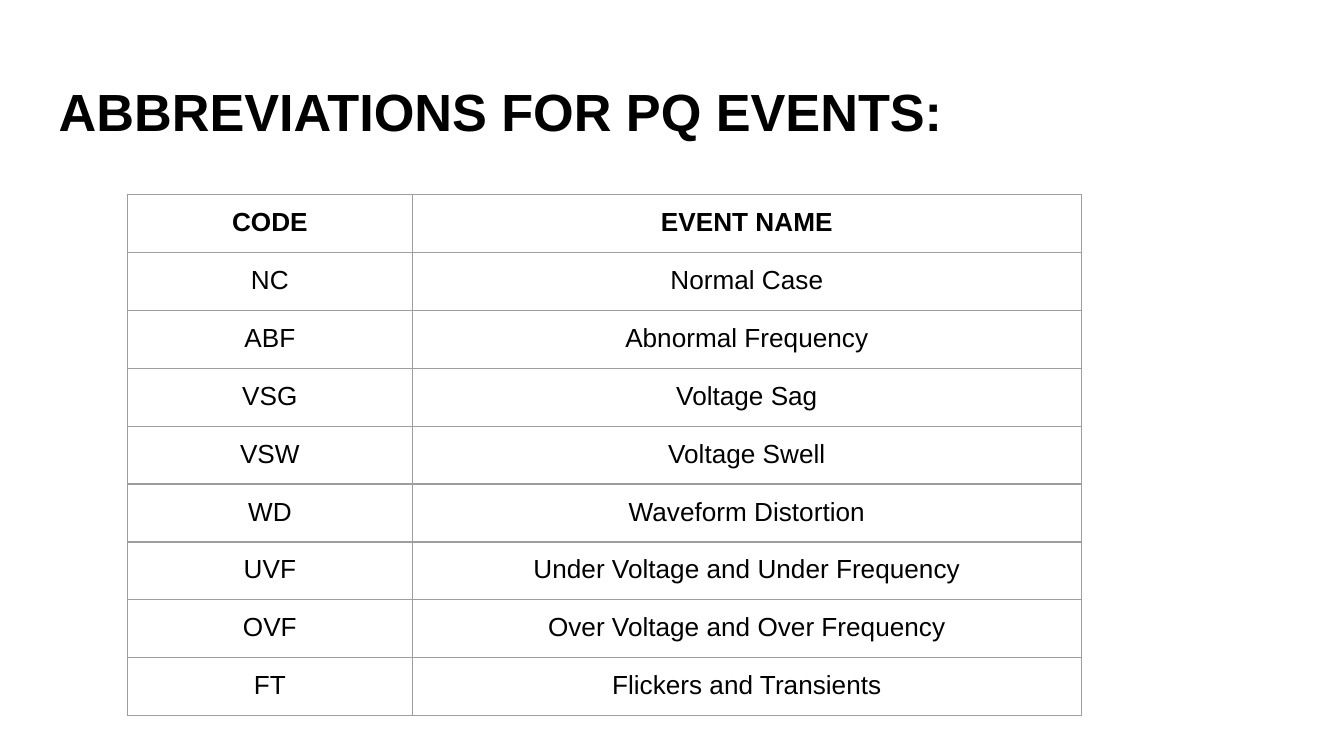
import pptx
import pptx.dml.color
import pptx.enum.text
import pptx.oxml
import pptx.oxml.ns
import pptx.util

Cm = pptx.util.Cm
Pt = pptx.util.Pt
RGBColor = pptx.dml.color.RGBColor

# Content
TITLE = "ABBREVIATIONS FOR PQ EVENTS:"
EVENTS = [
    ("CODE", "EVENT NAME"),
    ("NC", "Normal Case"),
    ("ABF", "Abnormal Frequency"),
    ("VSG", "Voltage Sag"),
    ("VSW", "Voltage Swell"),
    ("WD", "Waveform Distortion"),
    ("UVF", "Under Voltage and Under Frequency"),
    ("OVF", "Over Voltage and Over Frequency"),
    ("FT", "Flickers and Transients"),
]

# Style
BLACK = RGBColor(0x00, 0x00, 0x00)
GREY = RGBColor(0x9E, 0x9E, 0x9E)
FONT = "Arial"
BORDER_WIDTH = Pt(0.75)
INSET = Cm(0.25)
COLUMN_WIDTHS = (Cm(5.38), Cm(12.65))
ROW_HEIGHT = Cm(1.06)


def set_insets(frame):
    frame.margin_left = frame.margin_right = INSET
    frame.margin_top = frame.margin_bottom = INSET


def add_text(paragraph, text, size, bold):
    span = paragraph.add_run()
    span.text = text
    span.font.name = FONT
    span.font.size = Pt(size)
    span.font.bold = bold
    span.font.color.rgb = BLACK


def add_borders(cell):
    properties = cell._tc.get_or_add_tcPr()
    for side in ("lnL", "lnR", "lnT", "lnB"):
        properties.append(pptx.oxml.parse_xml(
            f'<a:{side} {pptx.oxml.ns.nsdecls("a")} w="{BORDER_WIDTH}">'
            f'<a:solidFill><a:srgbClr val="{GREY}"/></a:solidFill></a:{side}>'
        ))


deck = pptx.Presentation()
deck.slide_width = Cm(25.4)
deck.slide_height = Cm(14.29)
page = deck.slides.add_slide(deck.slide_layouts[6])

# Title
title_box = page.shapes.add_textbox(Cm(0.86), Cm(1.24), Cm(23.67), Cm(1.6))
title_box.text_frame.word_wrap = True
set_insets(title_box.text_frame)
add_text(title_box.text_frame.paragraphs[0], TITLE, 28, True)

# Table of event codes
table = page.shapes.add_table(
    len(EVENTS), len(COLUMN_WIDTHS), Cm(2.41), Cm(3.68),
    sum(COLUMN_WIDTHS), ROW_HEIGHT * len(EVENTS),
).table
table.first_row = False
table.horz_banding = False
for column, width in zip(table.columns, COLUMN_WIDTHS):
    column.width = width

for row_index, event in enumerate(EVENTS):
    table.rows[row_index].height = ROW_HEIGHT
    for column_index, text in enumerate(event):
        cell = table.cell(row_index, column_index)
        set_insets(cell)
        add_borders(cell)
        cell.fill.background()
        paragraph = cell.text_frame.paragraphs[0]
        paragraph.alignment = pptx.enum.text.PP_ALIGN.CENTER
        add_text(paragraph, text, 14, row_index == 0)

deck.save("out.pptx")
